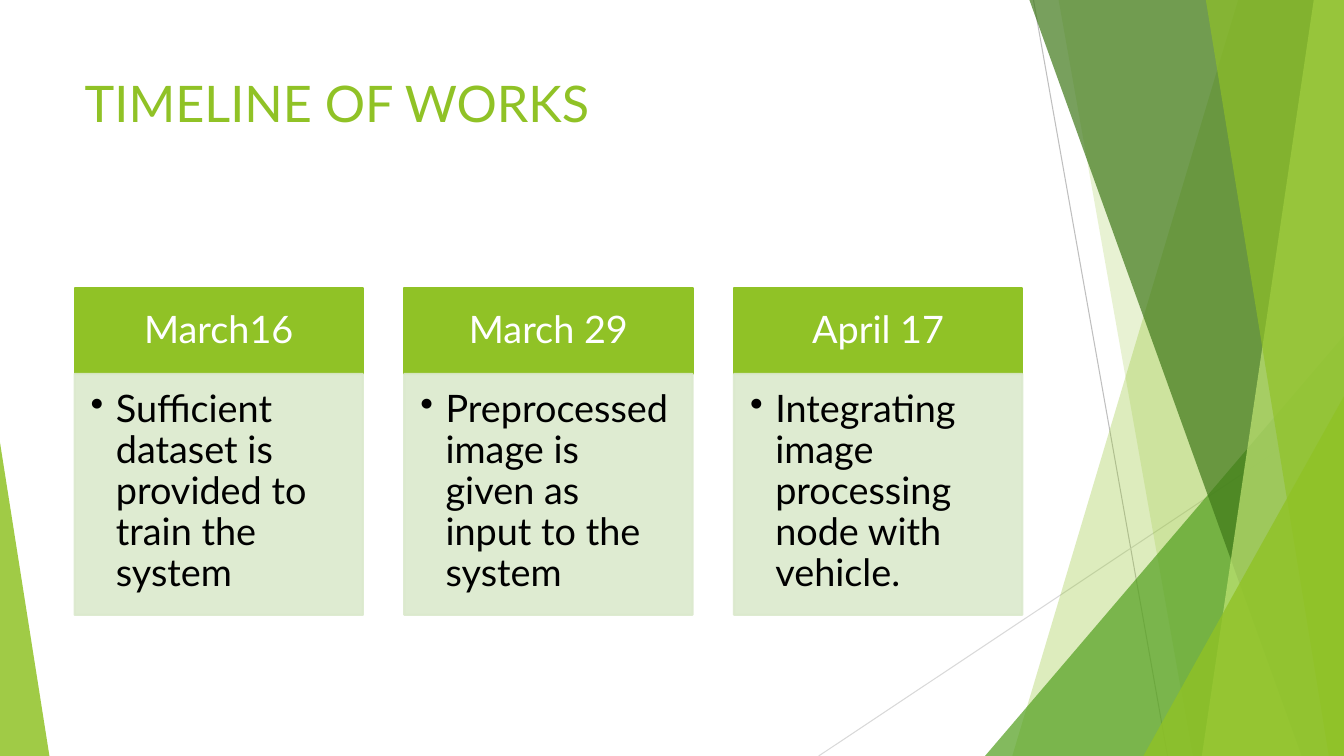
from dataclasses import dataclass

from pptx import Presentation
from pptx.dml.color import RGBColor
from pptx.enum.shapes import MSO_CONNECTOR, MSO_SHAPE
from pptx.enum.text import MSO_ANCHOR, MSO_AUTO_SIZE, PP_ALIGN
from pptx.oxml.ns import qn
from pptx.util import Inches, Pt


@dataclass(frozen=True)
class Theme:
    font: str = "Lato"
    title_size: int = 36
    card_size: int = 27
    green: str = "90C226"
    mid_green: str = "54A021"
    dark_green: str = "3F7819"
    light_green: str = "C0E474"
    pale_green: str = "DBE9CD"
    grey: str = "BFBFBF"
    light_grey: str = "D9D9D9"
    white: str = "FFFFFF"
    black: str = "000000"


THEME = Theme()
WIDTH, HEIGHT = 13.33, 7.5
TITLE = "TIMELINE OF WORKS"
MILESTONES = [
    ("March16", "Sufficient dataset is provided to train the system"),
    ("March 29", "Preprocessed image is given as input to the system"),
    ("April 17", "Integrating image processing node with vehicle."),
]
CARD_LEFT, CARD_TOP, CARD_WIDTH, CARD_STEP = 0.74, 2.86, 2.86, 3.27
HEADER_HEIGHT, BODY_HEIGHT = 0.85, 2.39


def set_font(paragraph, size, color):
    paragraph.font.name = THEME.font
    paragraph.font.size = Pt(size)
    paragraph.font.color.rgb = RGBColor.from_string(color)


def paint(shape, color, opacity=100, outlined=False):
    """Fill the shape, with an outline of the same colour and opacity if asked."""
    shape.shadow.inherit = False
    shape.fill.solid()
    shape.fill.fore_color.rgb = RGBColor.from_string(color)
    if outlined:
        shape.line.color.rgb = RGBColor.from_string(color)
        shape.line.width = Pt(1.5)
    else:
        shape.line.fill.background()
    if opacity < 100:
        for color_element in shape.element.spPr.iter(qn("a:srgbClr")):
            alpha = color_element.makeelement(qn("a:alpha"), {"val": str(opacity * 1000)})
            color_element.append(alpha)


def add_thin_line(slide, start, end, color):
    points = [Inches(value) for value in (*start, *end)]
    connector = slide.shapes.add_connector(MSO_CONNECTOR.STRAIGHT, *points)
    connector.line.color.rgb = RGBColor.from_string(color)
    connector.line.width = Pt(0.75)
    properties = connector.element.spPr
    properties.append(properties.makeelement(qn("a:effectLst"), {}))


def add_band(slide, top_left, bottom_left, color, opacity, top_right=WIDTH):
    """Add a full-height band that reaches the right edge of the slide."""
    points = [(top_right, 0), (WIDTH, HEIGHT), (bottom_left, HEIGHT)]
    builder = slide.shapes.build_freeform(Inches(top_left), 0)
    builder.add_line_segments([(Inches(x), Inches(y)) for x, y in points])
    paint(builder.convert_to_shape(), color, opacity)


def add_corner(slide, left, width, height, apex, color, opacity):
    """Add a triangle that stands on the bottom edge of the slide."""
    shape = slide.shapes.add_shape(
        MSO_SHAPE.ISOSCELES_TRIANGLE,
        Inches(left), Inches(HEIGHT - height), Inches(width), Inches(height),
    )
    shape.adjustments[0] = apex
    paint(shape, color, opacity)


def add_decoration(slide):
    add_thin_line(slide, (10.25, 0), (11.58, HEIGHT), THEME.grey)
    add_thin_line(slide, (WIDTH, 4.03), (8.12, HEIGHT), THEME.light_grey)
    add_band(slide, 12.28, 10.04, THEME.green, 30)
    add_band(slide, 10.5, 11.83, THEME.green, 20)
    add_corner(slide, 9.77, 3.56, 4.17, 1, THEME.mid_green, 72)
    add_band(slide, 10.21, 12.91, THEME.dark_green, 70)
    add_band(slide, 13.03, 11.92, THEME.light_green, 70)
    add_band(slide, 11.96, 13.18, THEME.green, 65)
    add_corner(slide, 11.34, 1.99, 3.57, 1, THEME.green, 80)
    add_corner(slide, 0, 0.49, 3.11, 0, THEME.green, 85)


def set_title(slide):
    title = slide.shapes.title
    title.left, title.top = Inches(0.74), Inches(0.67)
    title.width, title.height = Inches(9.4), Inches(1.44)
    frame = title.text_frame
    frame.text = TITLE
    frame.auto_size = MSO_AUTO_SIZE.NONE
    frame.vertical_anchor = MSO_ANCHOR.TOP
    frame.paragraphs[0].alignment = PP_ALIGN.LEFT
    set_font(frame.paragraphs[0], THEME.title_size, THEME.green)


def add_panel(slide, left, top, height, text, insets):
    """Add one rectangle of a card and return it with its paragraph."""
    panel = slide.shapes.add_shape(
        MSO_SHAPE.RECTANGLE, Inches(left), Inches(top), Inches(CARD_WIDTH), Inches(height)
    )
    frame = panel.text_frame
    frame.word_wrap = True
    frame.margin_left, frame.margin_top, frame.margin_right, frame.margin_bottom = map(
        Inches, insets
    )
    frame.text = text
    paragraph = frame.paragraphs[0]
    paragraph.line_spacing = 0.9
    return panel, paragraph


def add_bullet(paragraph):
    properties = paragraph._p.get_or_add_pPr()
    properties.set("marL", str(Inches(0.25)))
    properties.set("indent", str(Inches(-0.25)))
    properties.append(properties.makeelement(qn("a:buChar"), {"char": "•"}))


def add_card(slide, left, date, work):
    header, paragraph = add_panel(
        slide, left, CARD_TOP, HEADER_HEIGHT, date, (0.21, 0.12, 0.21, 0.12)
    )
    paint(header, THEME.green, outlined=True)
    header.text_frame.vertical_anchor = MSO_ANCHOR.MIDDLE
    paragraph.alignment = PP_ALIGN.CENTER
    set_font(paragraph, THEME.card_size, THEME.white)

    body, paragraph = add_panel(
        slide, left, CARD_TOP + HEADER_HEIGHT, BODY_HEIGHT, work, (0.16, 0.16, 0.21, 0.24)
    )
    paint(body, THEME.pale_green, 90, outlined=True)
    body.text_frame.vertical_anchor = MSO_ANCHOR.TOP
    paragraph.alignment = PP_ALIGN.LEFT
    add_bullet(paragraph)
    set_font(paragraph, THEME.card_size, THEME.black)


def main():
    presentation = Presentation()
    presentation.slide_width = Inches(WIDTH)
    presentation.slide_height = Inches(HEIGHT)
    slide = presentation.slides.add_slide(presentation.slide_layouts[5])
    add_decoration(slide)
    set_title(slide)
    for index, (date, work) in enumerate(MILESTONES):
        add_card(slide, CARD_LEFT + index * CARD_STEP, date, work)
    presentation.save("out.pptx")


if __name__ == "__main__":
    main()
